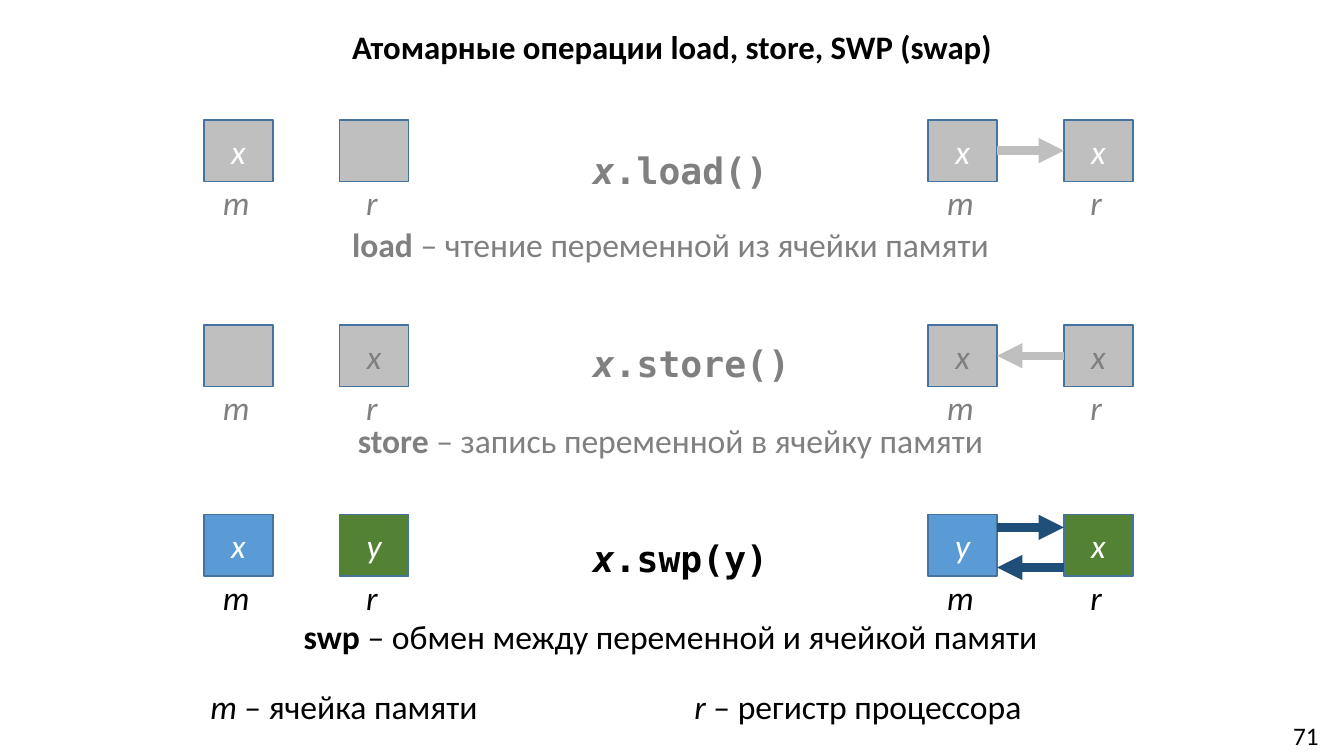
"""Build the slide on the atomic operations load, store and swp."""
import pptx
import pptx.util
import pptx.dml.color
import pptx.enum.shapes
import pptx.enum.text
import pptx.oxml.ns
from lxml import etree
from pptx.util import Cm

COLORS = {
    "black": "000000", "white": "FFFFFF", "gray": "808080", "silver": "BFBFBF",
    "blue": "5B9BD5", "green": "548235", "navy": "1F4E79", "edge": "43739E",
}
ALIGN = pptx.enum.text.PP_ALIGN
ANCHOR = pptx.enum.text.MSO_ANCHOR
FIT = pptx.enum.text.MSO_AUTO_SIZE


def rgb(name):
    return pptx.dml.color.RGBColor.from_string(COLORS[name])


def write(sp, *runs, size=24, font="Calibri", color="black", align=ALIGN.LEFT,
          anchor=ANCHOR.TOP, wrap=True, fit=FIT.NONE, spacing=None):
    """Fill a shape with (text, style) runs; style holds b for bold, i for italic."""
    tf = sp.text_frame
    tf.word_wrap = wrap
    tf.auto_size = fit
    tf.vertical_anchor = anchor
    p = tf.paragraphs[0]
    p.alignment = align
    p.line_spacing = spacing
    for text, style in runs:
        r = p.add_run()
        r.text = text
        r.font.name = font
        r.font.size = pptx.util.Pt(size)
        r.font.bold = "b" in style
        r.font.italic = "i" in style
        r.font.color.rgb = rgb(color)


prs = pptx.Presentation()
prs.slide_width, prs.slide_height = Cm(33.87), Cm(19.05)
s = prs.slides.add_slide(prs.slide_layouts[5])

title = s.shapes.title
title.left, title.top, title.width, title.height = Cm(0), Cm(0.66), Cm(33.87), Cm(1.7)
write(title, ("Атомарные операции load, store, SWP (swap)", "b"),
      size=23.4, align=ALIGN.CENTER, spacing=0.9)

CELL_W, CELL_H, STEP = 1.74, 1.55, 3.42
BEFORE_X, AFTER_X = 5.14, 23.39
LABELS = [("m", 0.23, 1.19), ("r", 0.42, 0.81)]

operations = [
    dict(name="load", call=".load()", note=" – чтение переменной из ячейки памяти",
         top=3.02, call_top=3.61, note_top=5.64, before=("x", ""), after=("x", "x"),
         fills=("silver", "silver"), letter="white", text="gray",
         arrow="silver", arrows=[("right", None)]),
    dict(name="store", call=".store()", note=" – запись переменной в ячейку памяти",
         top=8.19, call_top=8.48, note_top=10.57, before=("", "x"), after=("x", "x"),
         fills=("silver", "silver"), letter="gray", text="gray",
         arrow="silver", arrows=[("left", None)]),
    dict(name="swp", call=".swp(y)", note=" – обмен между переменной и ячейкой памяти",
         top=12.97, call_top=13.39, note_top=15.52, before=("x", "y"), after=("y", "x"),
         fills=("blue", "green"), letter="white", text="black",
         arrow="navy", arrows=[("right", 0.32), ("left", 1.33)]),
]

for op in operations:
    for x, values in ((BEFORE_X, op["before"]), (AFTER_X, op["after"])):
        cells = []
        for i, (label, dx, label_w) in enumerate(LABELS):
            left = x + i * STEP
            cell = s.shapes.add_shape(pptx.enum.shapes.MSO_SHAPE.RECTANGLE,
                                      Cm(left), Cm(op["top"]), Cm(CELL_W), Cm(CELL_H))
            cell.shadow.inherit = False
            cell.fill.solid()
            cell.fill.fore_color.rgb = rgb(op["fills"][i])
            cell.line.color.rgb = rgb("edge")
            cell.line.width = pptx.util.Pt(1)
            if values[i]:
                write(cell, (values[i], "i"), color=op["letter"],
                      align=ALIGN.CENTER, anchor=ANCHOR.MIDDLE)
            cells.append(cell)
            tb = s.shapes.add_textbox(Cm(left + dx), Cm(op["top"] + 1.44),
                                      Cm(label_w), Cm(1.27))
            write(tb, (label, "i"), color=op["text"], wrap=False,
                  fit=FIT.SHAPE_TO_FIT_TEXT)

    memory, register = cells
    for direction, dy in op["arrows"]:
        y = Cm(op["top"] + (CELL_H / 2 if dy is None else dy))
        ends = [(memory, 3, Cm(AFTER_X + CELL_W)), (register, 1, Cm(AFTER_X + STEP))]
        if direction == "left":
            ends.reverse()
        start, end = ends
        c = s.shapes.add_connector(pptx.enum.shapes.MSO_CONNECTOR.STRAIGHT,
                                   start[2], y, end[2], y)
        if dy is None:
            c.begin_connect(start[0], start[1])
            c.end_connect(end[0], end[1])
        c.line.color.rgb = rgb(op["arrow"])
        c.line.width = pptx.util.Pt(6)
        etree.SubElement(c.line._get_or_add_ln(), pptx.oxml.ns.qn("a:tailEnd"),
                         type="triangle")
        etree.SubElement(c._element.spPr, pptx.oxml.ns.qn("a:effectLst"))

    tb = s.shapes.add_textbox(Cm(14.69), Cm(op["call_top"]), Cm(4.32), Cm(1.17))
    write(tb, ("x", "bi"), (op["call"], "b"), size=26, font="DejaVu Sans Mono",
          color=op["text"], wrap=False)
    tb = s.shapes.add_textbox(Cm(3), Cm(op["note_top"]), Cm(27.8), Cm(1.47))
    write(tb, (op["name"], "b"), (op["note"], ""), color=op["text"],
          align=ALIGN.CENTER, spacing=0.9)

for letter, meaning, left, width in (("m", " – ячейка памяти", 5.05, 10.39),
                                     ("r", " – регистр процессора", 17.25, 10.9)):
    tb = s.shapes.add_textbox(Cm(left), Cm(17.17), Cm(width), Cm(1.27))
    write(tb, (letter, "i"), (meaning, ""), fit=FIT.SHAPE_TO_FIT_TEXT)

number = s.shapes.add_textbox(Cm(31.95), Cm(17.96), Cm(1.92), Cm(1.14))
write(number, ("71", ""), size=18, align=ALIGN.CENTER, anchor=ANCHOR.MIDDLE)

prs.save("out.pptx")
